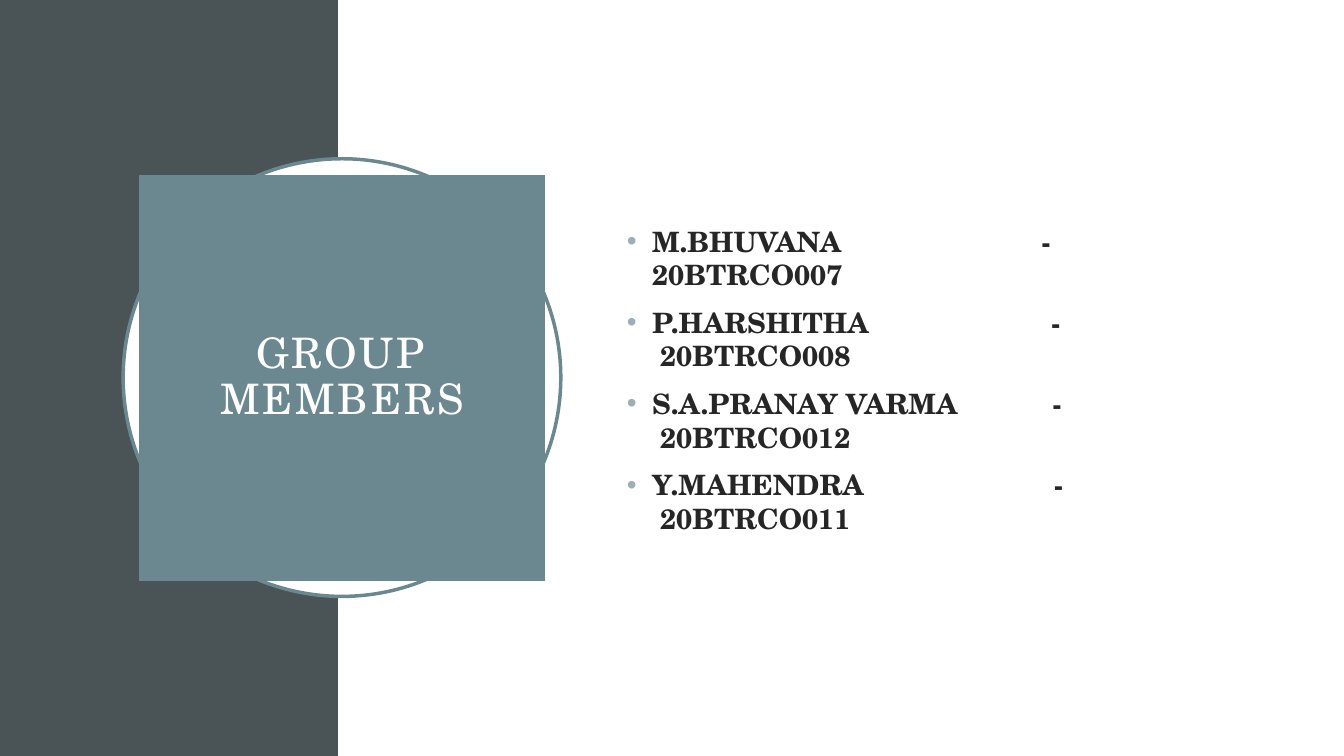
from dataclasses import dataclass

from lxml import etree
from pptx import Presentation
from pptx.dml.color import RGBColor
from pptx.enum.shapes import MSO_SHAPE
from pptx.enum.text import MSO_ANCHOR, MSO_AUTO_SIZE, PP_ALIGN
from pptx.oxml.ns import qn
from pptx.util import Pt

RECTANGLE, OVAL = MSO_SHAPE.RECTANGLE, MSO_SHAPE.OVAL
MIDDLE, NO_FIT = MSO_ANCHOR.MIDDLE, MSO_AUTO_SIZE.NONE
LEFT, CENTER = PP_ALIGN.LEFT, PP_ALIGN.CENTER

SLATE = RGBColor(0x4A, 0x53, 0x56)
TEAL = RGBColor(0x6B, 0x88, 0x91)
WHITE = RGBColor(0xFF, 0xFF, 0xFF)
INK = RGBColor(0x26, 0x26, 0x26)
BULLET = RGBColor(0x9B, 0xAF, 0xB5)
FONT = "TeX Gyre Schola"

PAGE_WIDTH, PAGE_HEIGHT = 960, 540
BAND_WIDTH = 241.6
INDENT = 18


@dataclass
class Panel:
    kind: MSO_SHAPE
    left: float
    top: float
    width: float
    height: float
    fill: RGBColor
    line: RGBColor | None = None


@dataclass
class Member:
    name: str
    number: str
    dash_at: float


PANELS = [
    Panel(RECTANGLE, 0, 0, BAND_WIDTH, PAGE_HEIGHT, SLATE),
    Panel(RECTANGLE, BAND_WIDTH, 0, PAGE_WIDTH - BAND_WIDTH, PAGE_HEIGHT, WHITE),
    Panel(OVAL, 88, 113.4, 312.6, 312.6, WHITE, TEAL),
]
MEMBERS = [
    Member("M.BHUVANA", "20BTRCO007", 296),
    Member("P.HARSHITHA", " 20BTRCO008", 303),
    Member("S.A.PRANAY VARMA", " 20BTRCO012", 304),
    Member("Y.MAHENDRA", " 20BTRCO011", 305),
]


def add_panel(page, panel: Panel) -> None:
    shape = page.shapes.add_shape(panel.kind, Pt(panel.left), Pt(panel.top),
                                  Pt(panel.width), Pt(panel.height))
    shape.shadow.inherit = False
    shape.fill.solid()
    shape.fill.fore_color.rgb = panel.fill
    if panel.line is None:
        shape.line.fill.background()
    else:
        shape.line.color.rgb = panel.line
        shape.line.width = Pt(2.5)


def place(box, left: float, top: float, width: float, height: float,
          inset_x: float, inset_y: float):
    """Move a placeholder to the front and return its text frame."""
    box.left, box.top, box.width, box.height = Pt(left), Pt(top), Pt(width), Pt(height)
    box.element.getparent().append(box.element)
    frame = box.text_frame
    frame.auto_size = NO_FIT
    frame.word_wrap = True
    frame.vertical_anchor = MIDDLE
    frame.margin_left = frame.margin_right = Pt(inset_x)
    frame.margin_top = frame.margin_bottom = Pt(inset_y)
    return frame


def write(para, text: str, *, size: float, color: RGBColor, bold: bool = False,
          align: PP_ALIGN = LEFT, line: float = 1.0, before: float = 0,
          tracking: float = 0) -> None:
    para.text = text
    para.alignment = align
    para.line_spacing = line
    para.space_before = Pt(before)
    for span in para.runs:
        span.font.name = FONT
        span.font.size = Pt(size)
        span.font.bold = bold
        span.font.color.rgb = color
        if tracking:
            span.font._element.set("spc", str(round(tracking * 100)))


def add_bullet(para, tab: float) -> None:
    """Give a paragraph a hanging bullet and one tab stop."""
    props = para._p.get_or_add_pPr()
    props.set("marL", str(Pt(INDENT)))
    props.set("indent", str(-Pt(INDENT)))
    color = etree.SubElement(props, qn("a:buClr"))
    etree.SubElement(color, qn("a:srgbClr"), val=str(BULLET))
    etree.SubElement(props, qn("a:buFont"), typeface="Arial")
    etree.SubElement(props, qn("a:buChar"), char="•")
    stops = etree.SubElement(props, qn("a:tabLst"))
    etree.SubElement(stops, qn("a:tab"), pos=str(Pt(tab)), algn="l")


def main() -> None:
    deck = Presentation()
    deck.slide_width, deck.slide_height = Pt(PAGE_WIDTH), Pt(PAGE_HEIGHT)
    page = deck.slides.add_slide(deck.slide_layouts[1])
    page.background.fill.solid()
    page.background.fill.fore_color.rgb = WHITE

    # Side band, white field and ring
    for panel in PANELS:
        add_panel(page, panel)

    # Title block
    title = page.shapes.title
    title.fill.solid()
    title.fill.fore_color.rgb = TEAL
    frame = place(title, 99.3, 125, 290, 290, 14.4, 14.4)
    write(frame.paragraphs[0], "GROUP MEMBERS", size=30, color=WHITE,
          align=CENTER, line=0.9, tracking=2)

    # Member list
    frame = place(page.placeholders[1], 440.6, 113.8, 462.2, 314.6, 7.2, 3.6)
    for index, member in enumerate(MEMBERS):
        para = frame.add_paragraph() if index else frame.paragraphs[0]
        write(para, f"{member.name}\t-\v{member.number}", size=20, color=INK,
              bold=True, before=10)
        add_bullet(para, member.dash_at)

    deck.save("out.pptx")


if __name__ == "__main__":
    main()
